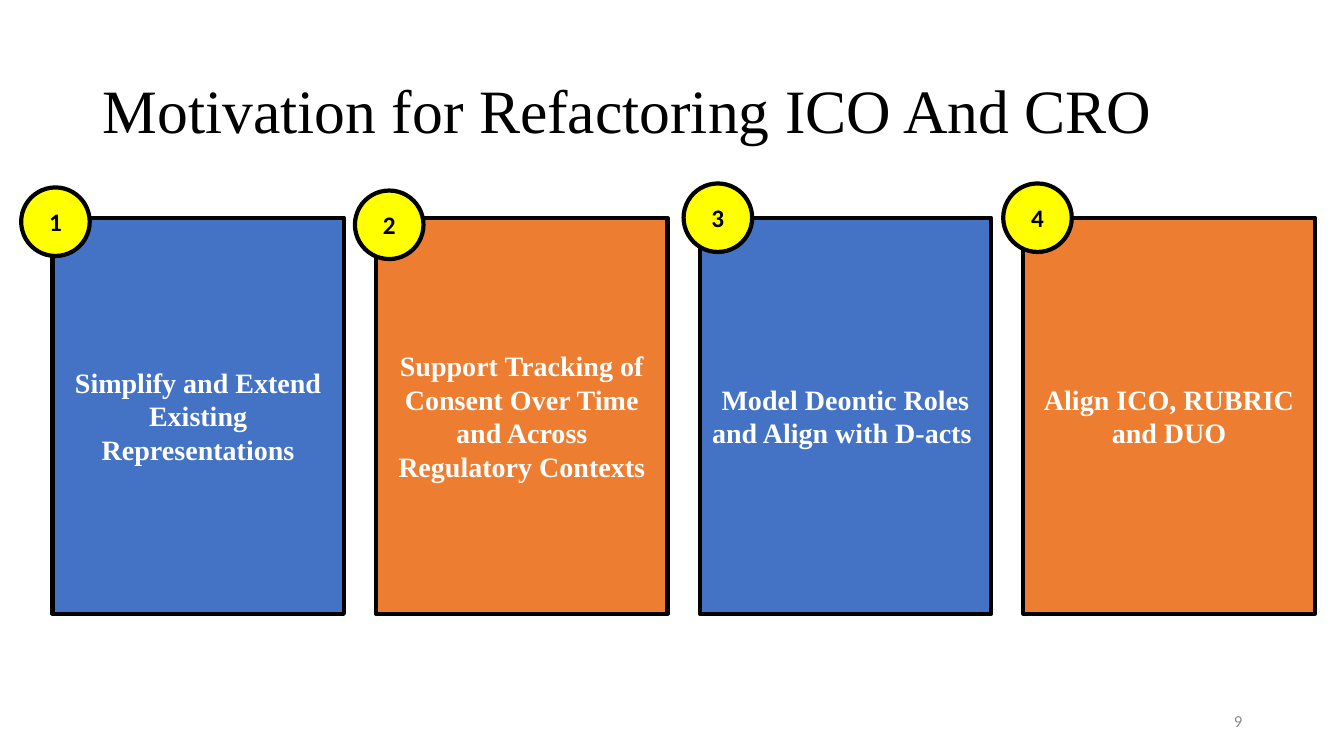
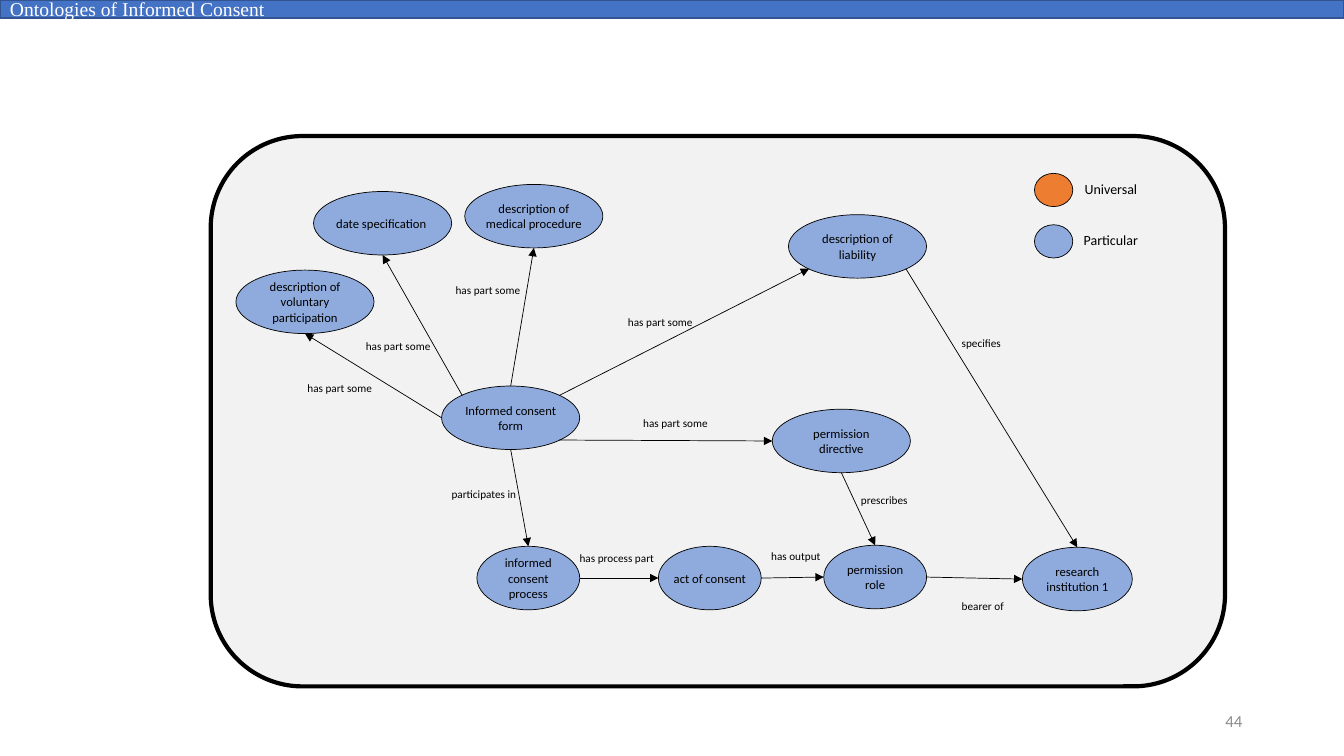
from lxml import etree
from pptx import Presentation
from pptx import util as u
from pptx.dml.color import RGBColor
from pptx.enum import shapes, text
from pptx.oxml import ns

PX = 9144  # EMU per px, 100 px to the inch
SLIDE_W, SLIDE_H = 1333, 750

BLUE = RGBColor(0x44, 0x72, 0xC4)
DARK_BLUE = RGBColor(0x32, 0x54, 0x91)
LIGHT_BLUE = RGBColor(0x8F, 0xAA, 0xDC)
ORANGE = RGBColor(0xED, 0x7D, 0x31)
YELLOW = RGBColor(0xFF, 0xFF, 0x00)
PANEL_GRAY = RGBColor(0xF2, 0xF2, 0xF2)
NUMBER_GRAY = RGBColor(0x8C, 0x8C, 0x8C)
BLACK = RGBColor(0, 0, 0)
WHITE = RGBColor(0xFF, 0xFF, 0xFF)
SERIF, SANS = "Times New Roman", "Calibri"

RECT = shapes.MSO_SHAPE.RECTANGLE
ROUND_RECT = shapes.MSO_SHAPE.ROUNDED_RECTANGLE
OVAL = shapes.MSO_SHAPE.OVAL
LEFT, CENTER, RIGHT = text.PP_ALIGN.LEFT, text.PP_ALIGN.CENTER, text.PP_ALIGN.RIGHT
MIDDLE, TOP = text.MSO_ANCHOR.MIDDLE, text.MSO_ANCHOR.TOP

# Motivation: card text, badge left, badge top
TITLE = "Motivation for Refactoring ICO And CRO"
CARDS = [
    ("Simplify and Extend Existing Representations", 21, 186),
    ("Support Tracking of Consent Over Time and Across Regulatory Contexts", 352, 189),
    ("Model Deontic Roles and Align with D-acts ", 678, 182),
    ("Align ICO, RUBRIC and DUO", 995, 182),
]
CARD_LEFT, CARD_TOP, CARD_W, CARD_H, CARD_STEP = 52, 216, 289, 393, 321
BADGE = 68

# Consent graph: node text, left, top, width
HEADER = "Ontologies of Informed Consent"
NODE_H = 63
NODES = {
    "institution": ("research institution 1", 1014, 543, 109),
    "process": ("informed consent process", 473, 542, 102),
    "act": ("act of consent", 653, 542, 102),
    "role": ("permission role", 817, 541, 102),
    "directive": ("permission directive", 766, 406, 137),
    "voluntary": ("description of voluntary participation", 234, 268, 137),
    "form": ("Informed consent form", 438, 383, 137),
    "date": ("date specification ", 311, 190, 137),
    "procedure": ("description of medical procedure", 461, 183, 137),
    "liability": ("description of liability", 782, 213, 137),
}
# Connection sites of an oval, in preset order, as fractions of its box
DIAGONAL = 0.15
SITES = {
    "top": (0.5, 0), "top left": (DIAGONAL, DIAGONAL),
    "left": (0, 0.5), "bottom left": (DIAGONAL, 1 - DIAGONAL),
    "bottom": (0.5, 1), "bottom right": (1 - DIAGONAL, 1 - DIAGONAL),
    "right": (1, 0.5), "top right": (1 - DIAGONAL, DIAGONAL),
}
# start node, site, end node, site, label, label left, top, width
RELATIONS = [
    ("process", "right", "act", "left", "has process part", 565, 542, 95),
    ("act", "right", "role", "left", "has output", 755, 540, 70),
    ("role", "right", "institution", "left", "bearer of", 944, 590, 62),
    ("directive", "bottom", "role", "top", "prescribes", 844, 484, 67),
    ("form", "bottom right", "directive", "left", "has part some", 628, 408, 85),
    ("form", "bottom", "process", "top", "participates in", 438, 479, 85),
    ("form", "left", "voluntary", "bottom", "has part some", 295, 373, 85),
    ("form", "top left", "date", "bottom", "has part some", 353, 332, 85),
    ("form", "top", "procedure", "bottom", "has part some", 442, 276, 85),
    ("form", "top right", "liability", "bottom left", "has part some", 613, 308, 85),
    ("liability", "bottom right", "institution", "top", "specifies", 944, 329, 60),
]
# label, colour, top, label left, label width
LEGEND = [("Universal", ORANGE, 172, 1066, 73), ("Particular", LIGHT_BLUE, 223, 1065, 75)]


def px(*lengths):
    return [round(length * PX) for length in lengths]


def write(frame, words, size, color=BLACK, font=SANS, bold=False, align=LEFT, anchor=MIDDLE):
    frame.vertical_anchor = anchor
    paragraph = frame.paragraphs[0]
    paragraph.alignment = align
    run = paragraph.add_run()
    run.text = words
    run.font.size, run.font.name, run.font.bold = u.Pt(size), font, bold
    run.font.color.rgb = color
    return paragraph


def add_box(parent, preset, box, fill, line=BLACK, width=0.5):
    shape = parent.add_shape(preset, *px(*box))
    shape.shadow.inherit = False
    shape.fill.solid()
    shape.fill.fore_color.rgb = fill
    shape.line.color.rgb = line
    shape.line.width = u.Pt(width)
    return shape


def add_label(parent, words, box, size):
    """Add an unwrapped caption that grows with its text."""
    frame = parent.add_textbox(*px(*box)).text_frame
    frame.word_wrap = False
    frame.auto_size = text.MSO_AUTO_SIZE.SHAPE_TO_FIT_TEXT
    write(frame, words, size, anchor=TOP)


def add_page_number(slide, number):
    frame = slide.shapes.add_textbox(*px(942, 695, 300, 40)).text_frame
    frame.word_wrap = True
    write(frame, str(number), 12, NUMBER_GRAY, align=RIGHT)


def add_node(parent, words, left, top, width):
    node = add_box(parent, OVAL, (left, top, width, NODE_H), LIGHT_BLUE)
    frame = node.text_frame
    frame.margin_left = frame.margin_top = frame.margin_right = frame.margin_bottom = 0
    write(frame, words, 9, align=CENTER)
    return node


def site_point(node, site):
    across, down = SITES[site]
    return round(node.left + across * node.width), round(node.top + down * node.height)


def add_arrow(parent, start, start_site, end, end_site):
    """Draw an arrow that stays joined to the sites of two ovals."""
    arrow = parent.add_connector(
        shapes.MSO_CONNECTOR.STRAIGHT,
        *site_point(start, start_site), *site_point(end, end_site))
    arrow.line.color.rgb = BLACK
    arrow.line.width = u.Pt(0.5)
    etree.SubElement(arrow.line._get_or_add_ln(), ns.qn("a:tailEnd"), type="triangle")
    etree.SubElement(arrow._element.spPr, ns.qn("a:effectLst"))
    joints = arrow._element.find(".//" + ns.qn("p:cNvCxnSpPr"))
    for tag, node, site in (("a:stCxn", start, start_site), ("a:endCxn", end, end_site)):
        etree.SubElement(joints, ns.qn(tag), id=str(node.shape_id),
                         idx=str(list(SITES).index(site)))


def build_motivation(deck):
    slide = deck.slides.add_slide(deck.slide_layouts[5])
    title = slide.shapes.title
    title.left, title.top, title.width, title.height = px(92, 40, 1150, 145)
    write(title.text_frame, TITLE, 44, font=SERIF).line_spacing = 0.9
    add_page_number(slide, 9)
    for i, (words, _, _) in enumerate(CARDS):
        box = (CARD_LEFT + i * CARD_STEP, CARD_TOP, CARD_W, CARD_H)
        card = add_box(slide.shapes, RECT, box, (BLUE, ORANGE)[i % 2], width=3)
        write(card.text_frame, words, 20, WHITE, SERIF, True, CENTER)
    for number, (_, left, top) in enumerate(CARDS, 1):
        badge = add_box(slide.shapes, OVAL, (left, top, BADGE, BADGE), YELLOW, width=3)
        write(badge.text_frame, str(number), 18, bold=True, align=CENTER)


def build_consent_graph(deck):
    slide = deck.slides.add_slide(deck.slide_layouts[6])
    add_box(slide.shapes, ROUND_RECT, (209, 135, 1006, 546), PANEL_GRAY, width=3)
    nodes = {key: add_node(slide.shapes, *node) for key, node in NODES.items()}
    for start, start_site, end, end_site, label, left, top, width in RELATIONS:
        add_arrow(slide.shapes, nodes[start], start_site, nodes[end], end_site)
        add_label(slide.shapes, label, (left, top, width, 24), 8)
    for label, color, top, label_left, label_width in LEGEND:
        entry = slide.shapes.add_group_shape().shapes
        add_box(entry, OVAL, (1026, top, 38, 33), color)
        add_label(entry, label, (label_left, top + 2, label_width, 27), 10)
    add_page_number(slide, 44)
    band = add_box(slide.shapes, RECT, (0, 0, SLIDE_W, 18), BLUE, DARK_BLUE, 1)
    write(band.text_frame, HEADER, 14, WHITE, SERIF)


def main():
    deck = Presentation()
    deck.slide_width, deck.slide_height = px(SLIDE_W, SLIDE_H)
    build_motivation(deck)
    build_consent_graph(deck)
    deck.save("out.pptx")


if __name__ == "__main__":
    main()
